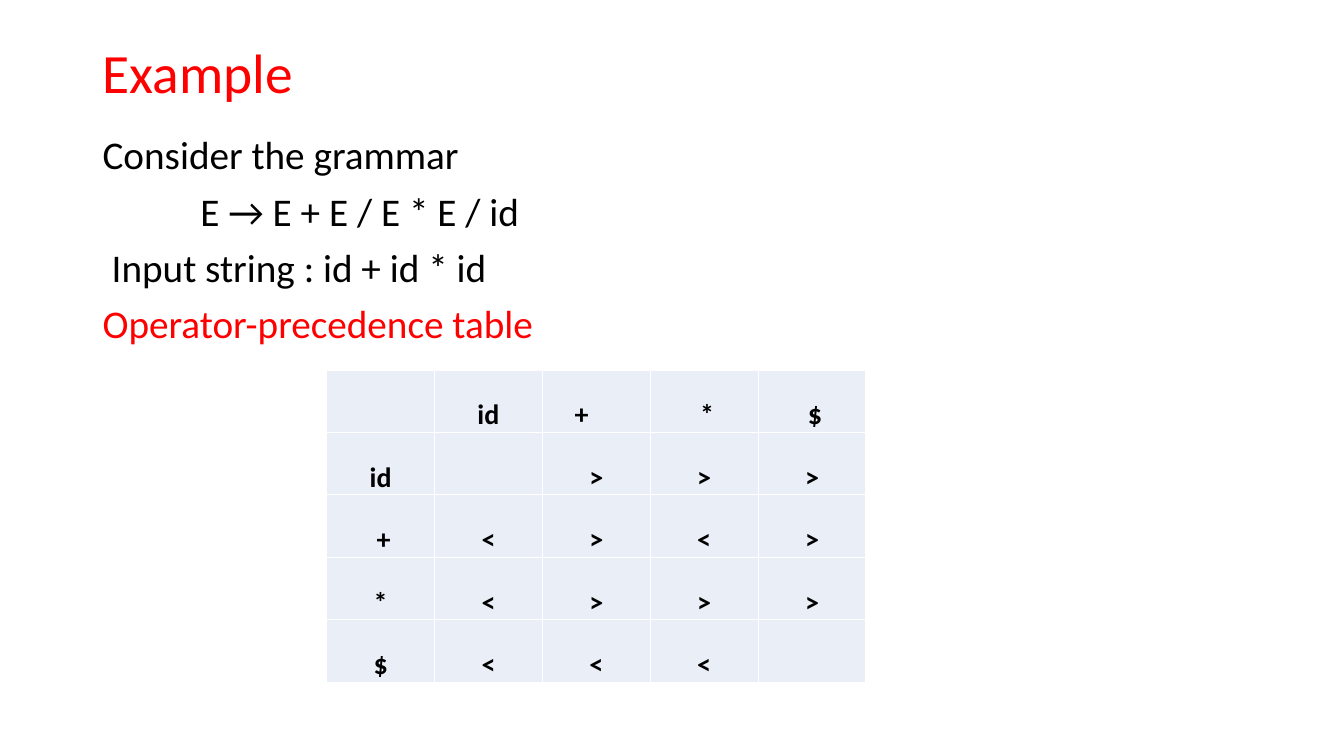
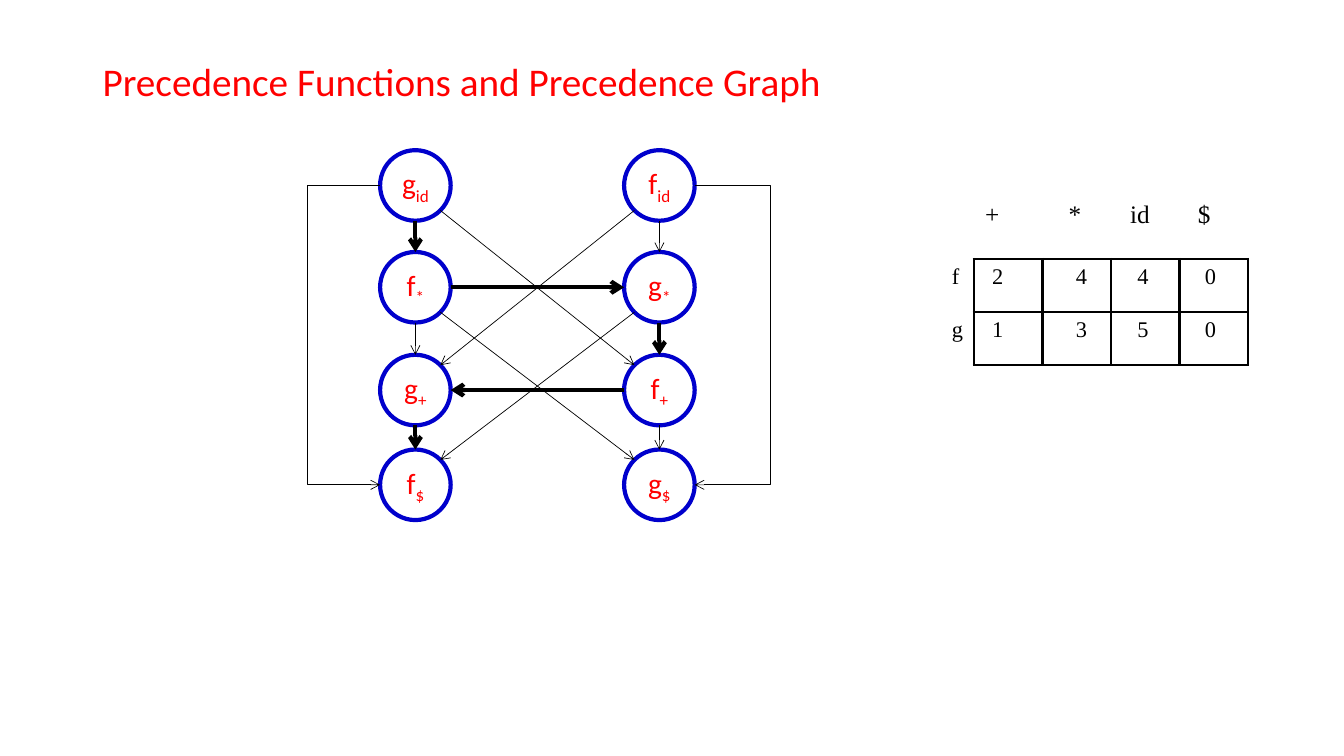
from pptx import Presentation
from pptx.dml.color import RGBColor
from pptx.enum.shapes import MSO_CONNECTOR, MSO_SHAPE
from pptx.enum.text import MSO_ANCHOR as ANCHOR, PP_ALIGN as ALIGN
from pptx.oxml.ns import qn
from pptx.util import Inches, Pt
from lxml.etree import SubElement

RED = RGBColor(0xFF, 0x00, 0x00)
BLACK = RGBColor(0x00, 0x00, 0x00)
WHITE = RGBColor(0xFF, 0xFF, 0xFF)
BLUE = RGBColor(0x00, 0x00, 0xCC)
PALE_BLUE = RGBColor(0xEA, 0xEF, 0xF7)
SERIF = "Times New Roman"
NO_TABLE_STYLE = "{2D5ABB26-0587-4C30-8999-92F81FD0307C}"
TEXT_LEFT, TEXT_WIDTH = 0.92, 11.5

# Text, indent in inches, colour
GRAMMAR_LINES = [
    ("Consider the grammar", 0, BLACK),
    ("E → E + E / E * E / id", 0.97, BLACK),
    ("Input string : id + id * id", 0.09, BLACK),
    ("Operator-precedence table", 0, RED),
]
PRECEDENCE = [
    ["", "id", "+", "*", "$"],
    ["id", "", ">", ">", ">"],
    ["+", "<", ">", "<", ">"],
    ["*", "<", ">", ">", ">"],
    ["$", "<", "<", "<", ""],
]
PRECEDENCE_INSETS = {(0, 2): 0.32, (0, 3): 0.07, (0, 4): 0.07, (2, 0): 0.07}

FUNCTIONS = [
    ["", "+", "*", "id", "$"],
    ["f", "2", "4", "4", "0"],
    ["g", "1", "3", "5", "0"],
]
FUNCTION_INSETS = [0.1, 0.18, 0.33, 0.26, 0.25]
HEADER_SHIFT = 0.07

# Nodes of the graph: one list for each column, from top to bottom
NODES = [["g id", "f *", "g +", "f $"], ["f id", "g *", "f +", "g $"]]
COLUMN_CENTERS = [4.12, 6.54]
ROW_CENTERS = [1.84, 2.85, 3.87, 4.81]
RADIUS = 0.35
THIN, THICK = 0.5, 3
EDGES = [
    ("f id", "g +", THIN), ("g id", "f *", THICK), ("f *", "g +", THIN),
    ("f id", "g *", THIN), ("g *", "f +", THICK), ("f +", "g $", THIN),
    ("f *", "g *", THICK), ("f +", "g +", THICK), ("f *", "g $", THIN),
    ("g *", "f $", THIN), ("g +", "f $", THICK), ("g id", "f +", THIN),
]
# From, to, side, distance from the circle
DETOURS = [("g id", "f $", -1, 0.72), ("f id", "g $", 1, 0.75)]


def write(paragraph, text, size=28, color=BLACK, font="Calibri", bold=False,
          align=ALIGN.LEFT, subscript=""):
    paragraph.alignment = align
    for part, lowered in ((text, False), (subscript, True)):
        if not part:
            continue
        run = paragraph.add_run()
        run.text = part
        run.font.size = Pt(size)
        run.font.name = font
        run.font.bold = bold
        run.font.color.rgb = color
        if lowered:
            run._r.get_or_add_rPr().set("baseline", "-25000")


def add_text(slide, top, height, lines, size=28, anchor=ANCHOR.TOP):
    box = slide.shapes.add_textbox(Inches(TEXT_LEFT), Inches(top),
                                   Inches(TEXT_WIDTH), Inches(height))
    frame = box.text_frame
    frame.word_wrap = True
    frame.vertical_anchor = anchor
    for index, (text, indent, color) in enumerate(lines):
        paragraph = frame.add_paragraph() if index else frame.paragraphs[0]
        properties = paragraph._p.get_or_add_pPr()
        properties.set("marL", str(Inches(indent)))
        properties.set("indent", "0")
        paragraph.line_spacing = 0.9
        if index:
            paragraph.space_before = Pt(10)
        write(paragraph, text, size, color)


def add_grid(slide, left, top, widths, heights):
    """Add a table without style and return it."""
    frame = slide.shapes.add_table(
        len(heights), len(widths), Inches(left), Inches(top),
        Inches(sum(widths)), Inches(sum(heights)))
    table = frame.table
    table.first_row = table.horz_banding = False
    table._tbl.tblPr.find(qn("a:tableStyleId")).text = NO_TABLE_STYLE
    for column, width in zip(table.columns, widths):
        column.width = Inches(width)
    for row, height in zip(table.rows, heights):
        row.height = Inches(height)
    return table


def set_borders(cell, color, width):
    properties = cell._tc.get_or_add_tcPr()
    for side in ("lnL", "lnR", "lnT", "lnB"):
        line = SubElement(properties, qn(f"a:{side}"), w=str(Pt(width)))
        fill = SubElement(line, qn("a:solidFill"))
        SubElement(fill, qn("a:srgbClr"), val=str(color))


def set_margins(cell, left, top, right, bottom):
    cell.margin_left, cell.margin_top = Inches(left), Inches(top)
    cell.margin_right, cell.margin_bottom = Inches(right), Inches(bottom)


def add_precedence_table(slide):
    count = len(PRECEDENCE)
    table = add_grid(slide, 3.24, 3.67, [1.07] * count, [0.62] * count)
    for row, symbols in enumerate(PRECEDENCE):
        for column, symbol in enumerate(symbols):
            cell = table.cell(row, column)
            set_borders(cell, WHITE, 1)
            cell.fill.solid()
            cell.fill.fore_color.rgb = PALE_BLUE
            inset = PRECEDENCE_INSETS.get((row, column), 0.01)
            set_margins(cell, inset, 0.01, 0.01, 0)
            cell.vertical_anchor = ANCHOR.BOTTOM
            align = ALIGN.LEFT if (row, column) == (0, 2) else ALIGN.CENTER
            write(cell.text_frame.paragraphs[0], symbol, 20, bold=True,
                  align=align)


def add_function_table(slide):
    table = add_grid(slide, 9.34, 1.94, [0.32] + [0.68] * 4,
                     [0.63, 0.525, 0.525])
    for row, values in enumerate(FUNCTIONS):
        for column, value in enumerate(values):
            cell = table.cell(row, column)
            if row and column:
                set_borders(cell, BLACK, 2)
            cell.fill.background()
            shift = 0 if row else HEADER_SHIFT
            set_margins(cell, FUNCTION_INSETS[column] - shift, 0.05, 0, 0.05)
            write(cell.text_frame.paragraphs[0], value, 16 if row else 18,
                  font=SERIF)


def style_arrow(shape, width):
    shape.line.color.rgb = BLACK
    shape.line.width = Pt(width)
    SubElement(shape.line._get_or_add_ln(), qn("a:tailEnd"), type="arrow")


def add_node(slide, name, center):
    x, y = center
    circle = slide.shapes.add_shape(
        MSO_SHAPE.OVAL, Inches(x - RADIUS), Inches(y - RADIUS),
        Inches(2 * RADIUS), Inches(2 * RADIUS))
    circle.shadow.inherit = False
    circle.fill.solid()
    circle.fill.fore_color.rgb = WHITE
    circle.line.color.rgb = BLUE
    circle.line.width = Pt(3)
    frame = circle.text_frame
    frame.word_wrap = False
    frame.margin_left = frame.margin_right = 0
    frame.vertical_anchor = ANCHOR.MIDDLE
    letter, subscript = name.split()
    write(frame.paragraphs[0], letter, 21, RED, align=ALIGN.CENTER,
          subscript=subscript)


def sign(number):
    return (number > 0) - (number < 0)


def add_edge(slide, start, end, width):
    """Join two circles at the nearest of their eight compass points."""
    step_x, step_y = (sign(b - a) for a, b in zip(start, end))
    reach = RADIUS / (step_x ** 2 + step_y ** 2) ** 0.5
    arrow = slide.shapes.add_connector(
        MSO_CONNECTOR.STRAIGHT,
        Inches(start[0] + step_x * reach), Inches(start[1] + step_y * reach),
        Inches(end[0] - step_x * reach), Inches(end[1] - step_y * reach))
    style_arrow(arrow, width)
    SubElement(arrow._element.spPr, qn("a:effectLst"))


def add_detour(slide, start, end, side, distance):
    """Draw an arrow that passes beside the column of circles."""
    near = Inches(start[0] + side * RADIUS)
    far = near + side * Inches(distance)
    top, bottom = Inches(start[1]), Inches(end[1])
    builder = slide.shapes.build_freeform(near, top)
    builder.add_line_segments([(far, top), (far, bottom), (near, bottom)],
                              close=False)
    arrow = builder.convert_to_shape()
    arrow.fill.background()
    style_arrow(arrow, THIN)
    arrow.shadow.inherit = False


def add_graph(slide):
    centers = {name: (x, y) for x, names in zip(COLUMN_CENTERS, NODES)
               for y, name in zip(ROW_CENTERS, names)}
    for name, center in centers.items():
        add_node(slide, name, center)
    for start, end, width in EDGES:
        add_edge(slide, centers[start], centers[end], width)
    for start, end, side, distance in DETOURS:
        add_detour(slide, centers[start], centers[end], side, distance)


def main():
    presentation = Presentation()
    presentation.slide_width = Inches(13.33)
    presentation.slide_height = Inches(7.5)
    blank = presentation.slide_layouts[6]

    example = presentation.slides.add_slide(blank)
    add_text(example, 0.4, 0.69, [("Example", 0, RED)], size=39.6,
             anchor=ANCHOR.MIDDLE)
    add_text(example, 1.3, 2.3, GRAMMAR_LINES)
    add_precedence_table(example)

    functions = presentation.slides.add_slide(blank)
    add_text(functions, 0.57, 0.6,
             [("Precedence Functions and Precedence Graph", 0, RED)])
    add_graph(functions)
    add_function_table(functions)

    presentation.save("out.pptx")


if __name__ == "__main__":
    main()
